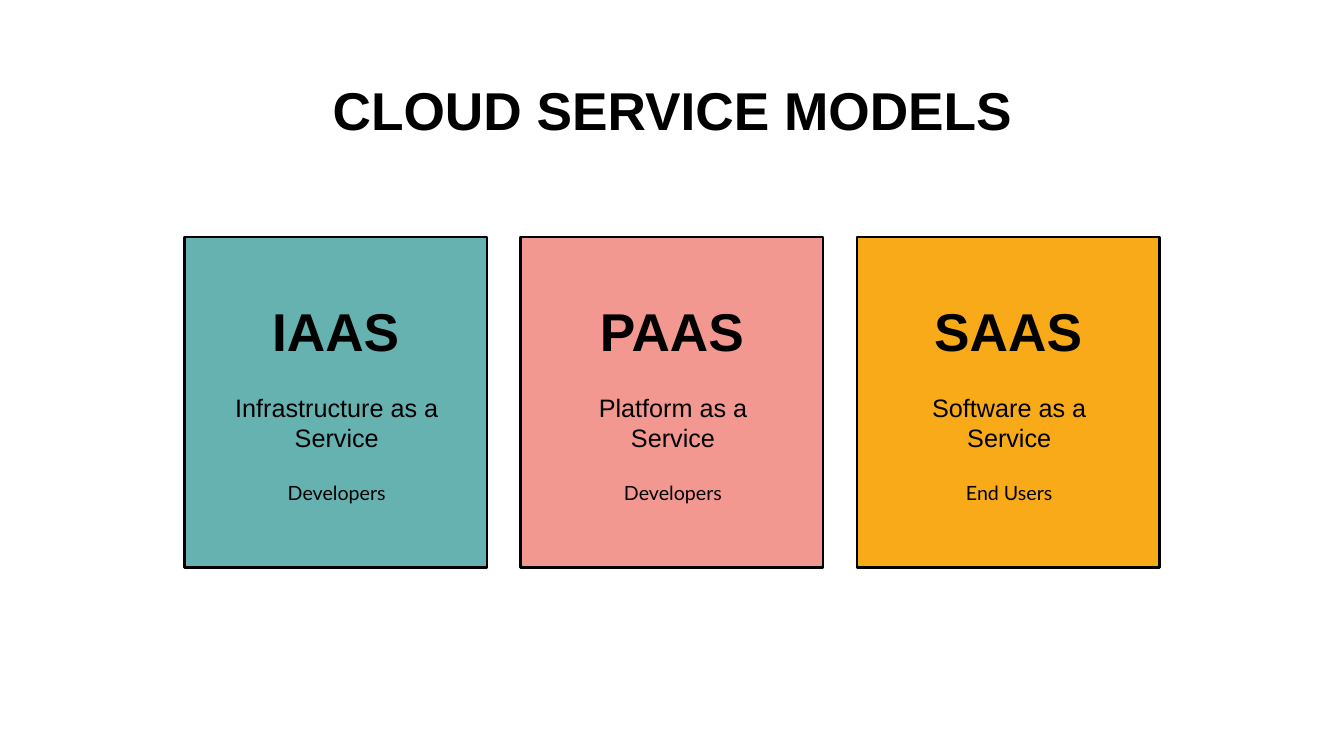
from pptx import Presentation
from pptx.dml.color import RGBColor
from pptx.enum.shapes import MSO_SHAPE
from pptx.enum.text import MSO_ANCHOR, PP_ALIGN
from pptx.util import Inches, Pt

BLACK = RGBColor(0x00, 0x00, 0x00)
TEAL = RGBColor(0x66, 0xB2, 0xB0)
PINK = RGBColor(0xF3, 0x98, 0x91)
AMBER = RGBColor(0xF9, 0xAA, 0x19)

MODELS = [
    ("IAAS", "Infrastructure as a Service", "Developers", TEAL),
    ("PAAS", "Platform as a Service", "Developers", PINK),
    ("SAAS", "Software as a Service", "End Users", AMBER),
]
CARD_LEFT, CARD_TOP = 1.83, 2.35
CARD_WIDTH, CARD_HEIGHT = 3, 3.28
CARD_PITCH = 3.335
CAPTION_WIDTH = 2.5


def write(frame, text, size, font="Arial", bold=False, spacing=1.0,
          anchor=MSO_ANCHOR.TOP):
    """Fill a text frame with one centred black paragraph."""
    frame.word_wrap = True
    frame.vertical_anchor = anchor
    paragraph = frame.paragraphs[0]
    paragraph.text = text
    paragraph.alignment = PP_ALIGN.CENTER
    paragraph.line_spacing = spacing
    run_font = paragraph.runs[0].font
    run_font.name = font
    run_font.size = Pt(size)
    run_font.bold = bold
    run_font.color.rgb = BLACK


def add_text(slide, left, top, width, height, text, size, **style):
    box = slide.shapes.add_textbox(
        Inches(left), Inches(top), Inches(width), Inches(height))
    write(box.text_frame, text, size, **style)


def add_title(slide, left, top, width, height):
    add_text(slide, left, top, width, height, "CLOUD SERVICE MODELS", 38,
             bold=True, spacing=0.9, anchor=MSO_ANCHOR.MIDDLE)


def add_model_card(slide, left, top, width, height, model):
    """Draw a coloured card with acronym, full name and audience."""
    acronym, full_name, audience, colour = model
    card = slide.shapes.add_shape(
        MSO_SHAPE.RECTANGLE,
        Inches(left), Inches(top), Inches(width), Inches(height))
    card.shadow.inherit = False
    card.fill.solid()
    card.fill.fore_color.rgb = colour
    card.line.color.rgb = BLACK
    card.line.width = Pt(1.75)
    card.text_frame.margin_top = Inches(0.68)
    write(card.text_frame, acronym, 38, bold=True, spacing=0.9)

    caption_left = left + (width - CAPTION_WIDTH) / 2 + 0.01
    add_text(slide, caption_left, top + 1.49, CAPTION_WIDTH, 0.8,
             full_name, 18)
    add_text(slide, caption_left, top + 2.33, CAPTION_WIDTH, 0.7,
             audience, 14, font="Lato", spacing=Pt(20))


def main():
    presentation = Presentation()
    presentation.slide_width = Inches(13.33)
    presentation.slide_height = Inches(7.5)
    slide = presentation.slides.add_slide(presentation.slide_layouts[6])
    add_title(slide, 0.92, 0.4, 11.5, 1.45)
    for index, model in enumerate(MODELS):
        add_model_card(slide, CARD_LEFT + index * CARD_PITCH, CARD_TOP,
                       CARD_WIDTH, CARD_HEIGHT, model)
    presentation.save("out.pptx")


if __name__ == "__main__":
    main()
